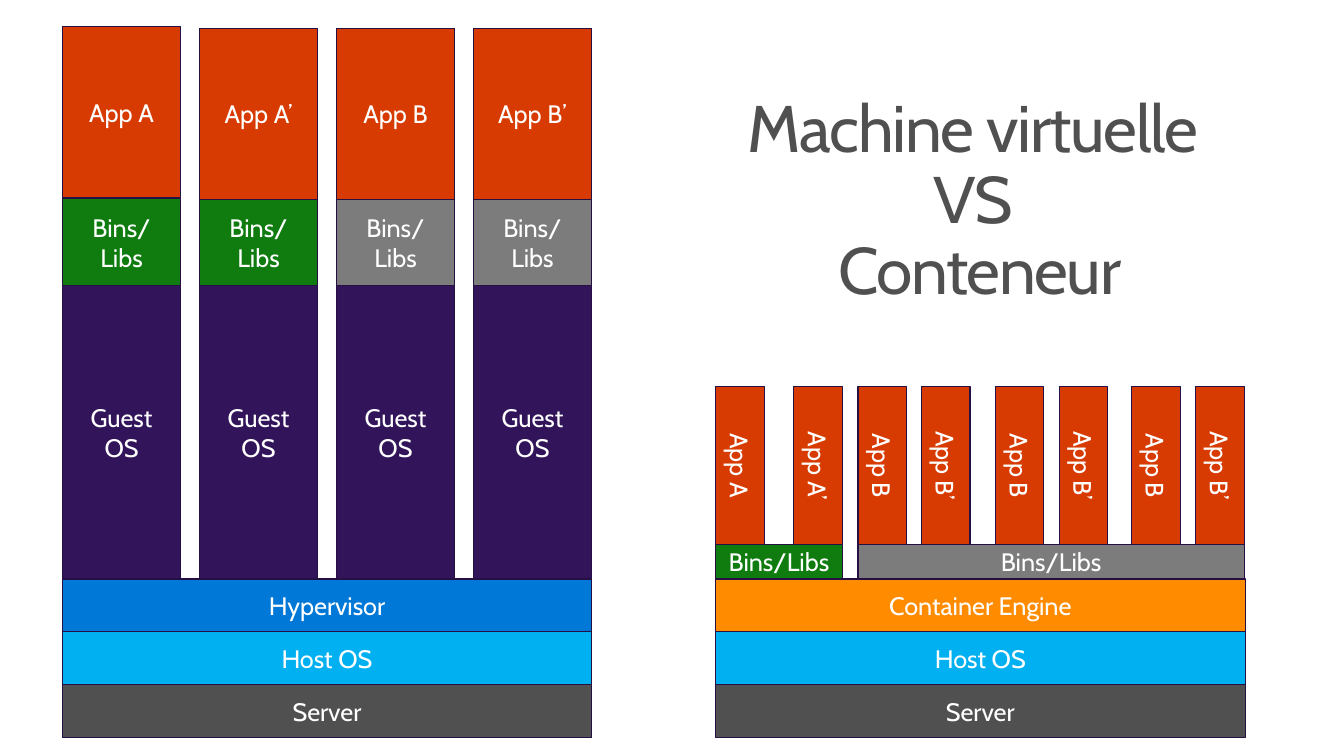
from pptx import Presentation
from pptx import util as u
from pptx.dml.color import RGBColor
from pptx.enum import shapes, text

FONT = "Cabin"
COLOURS = {
    "title": "505050", "label": "FFFFFF", "outline": "250F43",
    "server": "505050", "host": "00B0F0", "hypervisor": "0078D7",
    "engine": "FF8C00", "guest": "32145A", "app": "D83B01",
    "libs A": "107C10", "libs B": "7C7C7C",
}
TITLE_LINES = ["Machine virtuelle ", "VS ", "Conteneur"]

# Layers from top to bottom: label, colour
VM_LAYERS = [("Hypervisor", "hypervisor"), ("Host OS", "host"), ("Server", "server")]
CONTAINER_LAYERS = [("Container Engine", "engine"), ("Host OS", "host"), ("Server", "server")]

# Virtual machines: app, library colour, top of the app box
MACHINES = [
    ("App A", "libs A", 0.69),
    ("App A’", "libs A", 0.73),
    ("App B", "libs B", 0.73),
    ("App B’", "libs B", 0.73),
]
# Containers: app, left edge
CONTAINERS = [
    ("App A", 18.39), ("App A’", 20.4),
    ("App B", 22.05), ("App B’", 23.68),
    ("App B", 25.58), ("App B’", 27.22),
    ("App B", 29.08), ("App B’", 30.73),
]
# Shared libraries: colour, first and last container standing on them
SHARED_LIBS = [("libs A", 0, 1), ("libs B", 2, 7)]

# Lengths in centimetres
VM_LEFT, CONTAINER_LEFT = 1.6, 18.39
LAYER_WIDTH, LAYER_HEIGHT, LAYERS_TOP = 13.61, 1.36, 14.88
MACHINE_WIDTH, MACHINE_STEP = 3.05, 3.52
APP_HEIGHT, LIBS_TOP, GUEST_TOP = 4.39, 5.11, 7.34
CONTAINER_WIDTH, CONTAINER_TOP, SHARED_LIBS_TOP = 1.25, 9.94, 14


def colour(name):
    return RGBColor.from_string(COLOURS[name])


def add_run(paragraph, words, size, colour_name):
    run = paragraph.add_run()
    run.text = words
    run.font.name = FONT
    run.font.size = u.Pt(size)
    run.font.color.rgb = colour(colour_name)
    return run


def add_block(slide, label, fill, left, top, width, height, vertical=False):
    shape = slide.shapes.add_shape(
        shapes.MSO_SHAPE.RECTANGLE, u.Cm(left), u.Cm(top), u.Cm(width), u.Cm(height))
    shape.shadow.inherit = False
    shape.fill.solid()
    shape.fill.fore_color.rgb = colour(fill)
    shape.line.color.rgb = colour("outline")
    shape.line.width = u.Pt(0.85)
    frame = shape.text_frame
    frame.word_wrap = True
    frame.vertical_anchor = text.MSO_ANCHOR.MIDDLE
    if vertical:
        shape.element.txBody.bodyPr.set("vert", "vert")
    paragraph = frame.paragraphs[0]
    paragraph.alignment = text.PP_ALIGN.CENTER
    add_run(paragraph, label, 18.4, "label")


def add_layers(slide, layers, left):
    for row, (label, fill) in enumerate(layers):
        add_block(slide, label, fill, left, LAYERS_TOP + row * LAYER_HEIGHT,
                  LAYER_WIDTH, LAYER_HEIGHT)


def add_machines(slide):
    for column, (app, libs, top) in enumerate(MACHINES):
        left = VM_LEFT + column * MACHINE_STEP
        for label, fill, block_top, height in [
            ("Guest OS", "guest", GUEST_TOP, LAYERS_TOP - GUEST_TOP),
            ("Bins/Libs", libs, LIBS_TOP, GUEST_TOP - LIBS_TOP),
            (app, "app", top, APP_HEIGHT),
        ]:
            add_block(slide, label, fill, left, block_top, MACHINE_WIDTH, height)


def add_containers(slide):
    for fill, first, last in SHARED_LIBS:
        left = CONTAINERS[first][1]
        right = CONTAINERS[last][1] + CONTAINER_WIDTH
        add_block(slide, "Bins/Libs", fill, left, SHARED_LIBS_TOP,
                  right - left, LAYERS_TOP - SHARED_LIBS_TOP)
    for app, left in CONTAINERS:
        add_block(slide, app, "app", left, CONTAINER_TOP, CONTAINER_WIDTH,
                  SHARED_LIBS_TOP - CONTAINER_TOP, vertical=True)


def add_title(slide):
    box = slide.shapes.add_textbox(u.Cm(16.81), u.Cm(2.21), u.Cm(16.74), u.Cm(2.49))
    frame = box.text_frame
    frame.word_wrap = True
    frame.margin_left = frame.margin_right = u.Cm(0.41)
    frame.margin_top = frame.margin_bottom = u.Cm(0.25)
    paragraph = frame.paragraphs[0]
    paragraph.alignment = text.PP_ALIGN.CENTER
    paragraph.line_spacing = 0.9
    for number, line in enumerate(TITLE_LINES):
        if number:
            paragraph.add_line_break()
        run = add_run(paragraph, line, 48, "title")
        run.font._element.set("spc", "-100")


def main():
    presentation = Presentation()
    presentation.slide_width = u.Cm(34.54)
    presentation.slide_height = u.Cm(19.43)
    slide = presentation.slides.add_slide(presentation.slide_layouts[6])
    add_title(slide)
    add_layers(slide, VM_LAYERS, VM_LEFT)
    add_layers(slide, CONTAINER_LAYERS, CONTAINER_LEFT)
    add_machines(slide)
    add_containers(slide)
    presentation.save("out.pptx")


if __name__ == "__main__":
    main()
